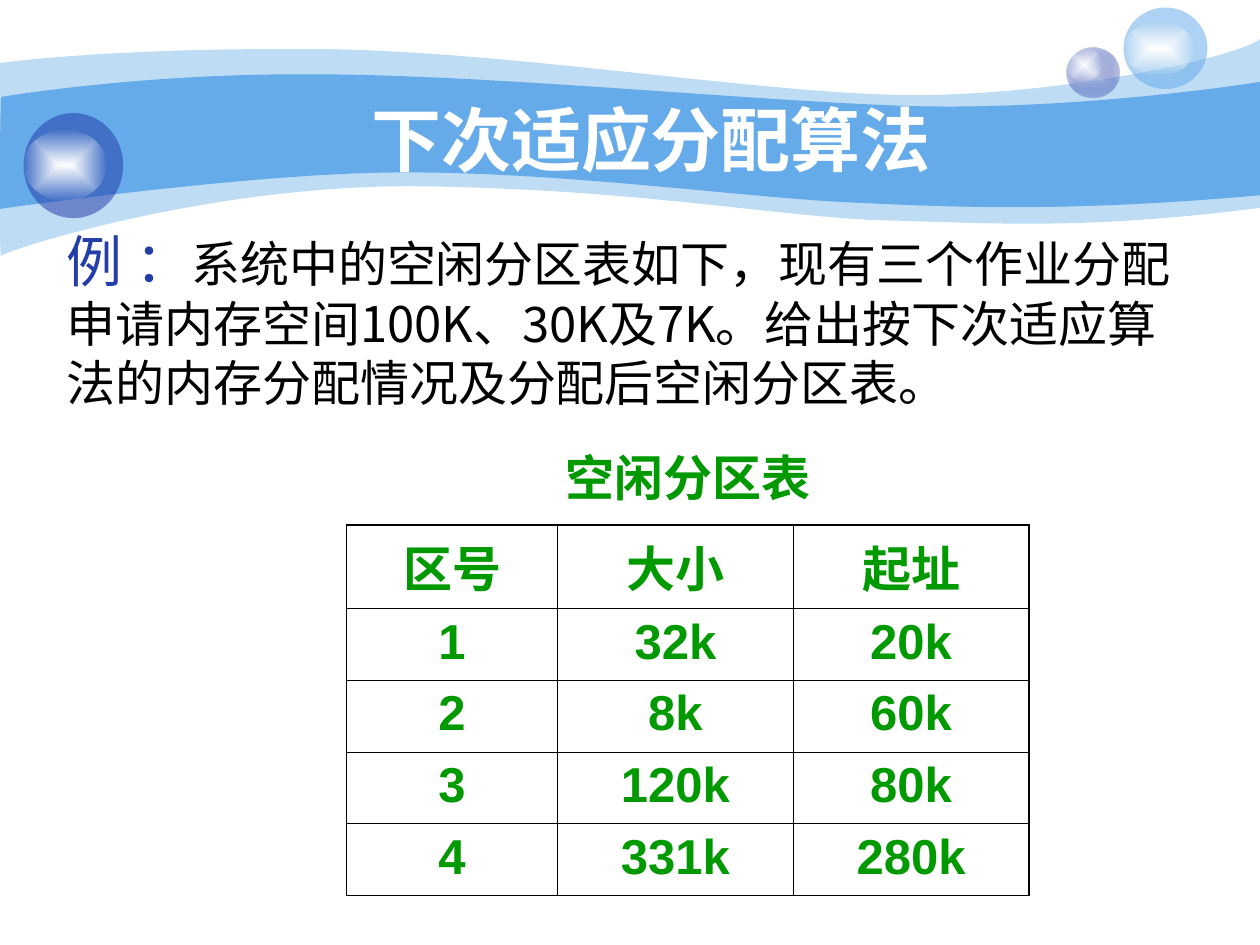
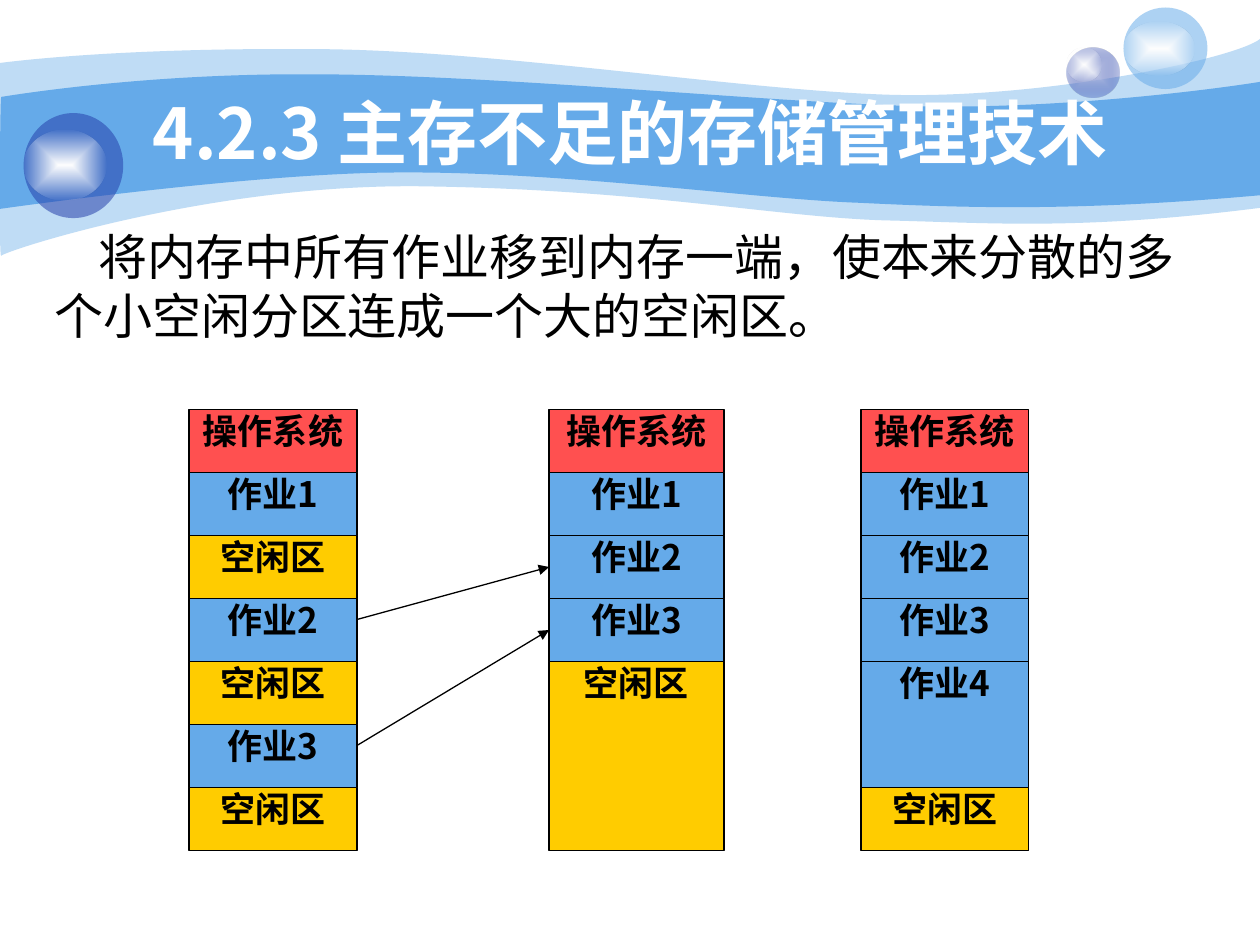
from lxml import etree
from pptx import Presentation
from pptx import util as u
from pptx.dml.color import RGBColor
from pptx.enum import shapes, text
from pptx.oxml import ns

COLOURS = {
    "sky": "65AAE9", "navy": "233DA9", "mist": "C7CEE9", "white": "FFFFFF",
    "black": "000000", "green": "009900", "red": "FF5050", "yellow": "FFCC00",
}
SC, JP = "Noto Sans CJK SC", "Noto Sans CJK JP"
CENTER = text.PP_ALIGN.CENTER


def paint(shape, *stops):
    """Fill without outline: one (colour, opacity) is solid, two run from centre to rim."""
    shape.shadow.inherit = False
    shape.line.fill.background()
    shape.fill.background()
    old_fill = shape.element.spPr.find(ns.qn("a:noFill"))
    fill = etree.Element(ns.qn("a:gradFill" if len(stops) > 1 else "a:solidFill"))
    parent = etree.SubElement(fill, ns.qn("a:gsLst")) if len(stops) > 1 else fill
    for index, (colour, opacity) in enumerate(stops):
        holder = parent
        if len(stops) > 1:
            holder = etree.SubElement(parent, ns.qn("a:gs"), pos=str(index * 100000))
        value = etree.SubElement(holder, ns.qn("a:srgbClr"), val=COLOURS[colour])
        if opacity < 100:
            etree.SubElement(value, ns.qn("a:alpha"), val=str(opacity * 1000))
    if len(stops) > 1:
        gradient = etree.SubElement(fill, ns.qn("a:path"), path="rect")
        etree.SubElement(gradient, ns.qn("a:fillToRect"),
                         {side: "50000" for side in "ltrb"})
    old_fill.getparent().replace(old_fill, fill)


def style_text(paragraph, size, font, colour, bold=False, alignment=None):
    paragraph.alignment = alignment
    for run in paragraph.runs:
        run.font.size = u.Pt(size)
        run.font.bold = bold
        run.font.name = font
        run.font.color.rgb = RGBColor.from_string(COLOURS[colour])
        east_asian = etree.Element(ns.qn("a:ea"), typeface=font if font == JP else SC)
        run.font._element.find(ns.qn("a:latin")).addnext(east_asian)


presentation = Presentation()
presentation.slide_width, presentation.slide_height = u.Pt(720), u.Pt(540)
title_layout = presentation.slide_layouts[5]
partition_slide = presentation.slides.add_slide(title_layout)
compaction_slide = presentation.slides.add_slide(title_layout)

# Wave bands: a start point, three curves along the top, a line down the right side,
# three curves back along the bottom and one up the left side
bands = [
    (41, [(0, 36),
          (17.3, 33.8), (77, 27.4), (177.8, 28.1),
          (277.9, 28.1), (414, 50.4), (503.3, 54),
          (591.8, 57.6), (705.6, 33.8), (720, 22.3),
          (720, 118.8),
          (617.8, 131.8), (566.6, 127.4), (507.6, 126),
          (447.8, 124.6), (370.8, 108.7), (247, 106.6),
          (123.8, 103.7), (2.9, 143.3), (0.7, 146.2),
          (-0.7, 149.8), (0, 54), (0, 36)]),
    (100, [(0.7, 55.4),
           (1.4, 55.4), (79.2, 41.8), (178.6, 42.5),
           (277.9, 42.5), (428.4, 57.6), (517, 60.5),
           (605.5, 63.4), (702.7, 49.7), (720, 46.8),
           (720, 111.6),
           (614.2, 121), (550.8, 118.8), (491, 115.9),
           (431.3, 113.8), (321.8, 97.9), (228.2, 98.6),
           (146.2, 98.6), (-1.4, 119.5), (-0.7, 119.5),
           (0, 119.5), (0, 55.4), (0.7, 55.4)]),
]
UNITS = 100
RIGHT_SIDE = 9
decorations = []
for opacity, points in bands:
    outline = [(x * UNITS, y * UNITS) for x, y in points]
    builder = partition_slide.shapes.build_freeform(*outline[0], scale=u.Pt(1) / UNITS)
    builder.add_line_segments(outline[1:], close=True)
    band = builder.convert_to_shape()
    segments = list(band.element.spPr.iter(ns.qn("a:lnTo")))
    controls = segments[:RIGHT_SIDE] + segments[RIGHT_SIDE + 1:]
    for first in range(0, len(controls) - 2, 3):
        curve = etree.Element(ns.qn("a:cubicBezTo"))
        controls[first].addprevious(curve)
        for segment in controls[first:first + 3]:
            curve.append(segment[0])
            segment.getparent().remove(segment)
    paint(band, ("sky", opacity))
    decorations.append(band)

glow = [("white", 100), ("white", 0)]
balls = [
    (609.5, 27, 30.4, 29, [("mist", 100), ("navy", 31)]),
    (609.5, 27, 20, 19.4, glow),
    (642, 4.3, 48, 46.6, [("sky", 53)]),
    (642, 12.2, 40.3, 31, glow),
    (13.5, 64.6, 56.9, 60, [("navy", 53)]),
    (13.5, 74.4, 47.5, 40, glow),
]
for left, top, width, height, stops in balls:
    ball = partition_slide.shapes.add_shape(
        shapes.MSO_SHAPE.OVAL, u.Pt(left), u.Pt(top), u.Pt(width), u.Pt(height))
    paint(ball, *stops)
    decorations.append(ball)

# The decorations belong to the master, behind its placeholders
master_tree = presentation.slide_master.shapes.element
for index, decoration in enumerate(decorations):
    decoration.element.nvSpPr.cNvPr.id = 100 + index
    master_tree.insert(2 + index, decoration.element)

titles = [
    (partition_slide, "下次适应分配算法", "Arial", (156, 59.6, 432, 39.6)),
    (compaction_slide, "4.2.3 主存不足的存储管理技术", JP, (54, 30, 612, 90)),
]
for slide, wording, font, place in titles:
    title = slide.shapes.title
    title.left, title.top, title.width, title.height = map(u.Pt, place)
    title.text_frame.text = wording
    title.text_frame.vertical_anchor = text.MSO_ANCHOR.MIDDLE
    style_text(title.text_frame.paragraphs[0], 40, font, "white", True, CENTER)

# Slide 1: example and free partition table
caption = partition_slide.shapes.add_textbox(u.Pt(282), u.Pt(252), u.Pt(222), u.Pt(41))
caption.text_frame.word_wrap = True
caption.text_frame.text = "空闲分区表"
style_text(caption.text_frame.paragraphs[0], 28, "Roboto", "green", True, CENTER)

example = partition_slide.shapes.add_textbox(u.Pt(31), u.Pt(126), u.Pt(646.5), u.Pt(113))
example.text_frame.word_wrap = True
paragraph = example.text_frame.paragraphs[0]
paragraph.text = "例 ："
style_text(paragraph, 32, SC, "navy")
request = paragraph.add_run()
request.text = ("系统中的空闲分区表如下，现有三个作业分配申请内存空间100K、30K及7K。"
                "给出按下次适应算法的内存分配情况及分配后空闲分区表。")
request.font.size = u.Pt(28)
request.font.name = SC
request.font.color.rgb = RGBColor.from_string(COLOURS["black"])
etree.SubElement(request.font._element, ns.qn("a:ea"), typeface=SC)

partitions = [
    ("区号", "大小", "起址"),
    ("1", "32k", "20k"),
    ("2", "8k", "60k"),
    ("3", "120k", "80k"),
    ("4", "331k", "280k"),
]
HEADER_HEIGHT, PARTITION_HEIGHT = 47.7, 41
last_row, last_column = len(partitions) - 1, len(partitions[0]) - 1
table = partition_slide.shapes.add_table(
    last_row + 1, last_column + 1, u.Pt(198), u.Pt(300), u.Pt(390),
    u.Pt(HEADER_HEIGHT + last_row * PARTITION_HEIGHT)).table
table.first_row = table.horz_banding = False
for column, width in zip(table.columns, (120.6, 134.7, 134.7)):
    column.width = u.Pt(width)
for row_index, row in enumerate(partitions):
    table.rows[row_index].height = u.Pt(PARTITION_HEIGHT if row_index else HEADER_HEIGHT)
    for column_index, value in enumerate(row):
        cell = table.cell(row_index, column_index)
        cell.text_frame.text = value
        style_text(cell.text_frame.paragraphs[0], 28, "Arial", "green", True, CENTER)
        cell.fill.background()
        outer_sides = {"L": column_index == 0, "R": column_index == last_column,
                       "T": row_index == 0, "B": row_index == last_row}
        properties = cell._tc.get_or_add_tcPr()
        for position, (side, outer) in enumerate(outer_sides.items()):
            border = etree.Element(ns.qn("a:ln" + side), w=str(u.Pt(1.08 if outer else 0.45)))
            border_fill = etree.SubElement(border, ns.qn("a:solidFill"))
            etree.SubElement(border_fill, ns.qn("a:srgbClr"), val=COLOURS["black"])
            properties.insert(position, border)

# Slide 2: memory before compaction, after it, and after loading job 4
ROW_HEIGHT = 36
SYSTEM, FREE = "操作系统", "空闲区"
fills = {SYSTEM: "red", FREE: "yellow"}
memories = [
    (108, 96, [(SYSTEM, 1), ("作业1", 1), (FREE, 1), ("作业2", 1), (FREE, 1),
               ("作业3", 1), (FREE, 1)]),
    (313.75, 100, [(SYSTEM, 1), ("作业1", 1), ("作业2", 1), ("作业3", 1), (FREE, 3)]),
    (492, 95.75, [(SYSTEM, 1), ("作业1", 1), ("作业2", 1), ("作业3", 1), ("作业4", 2),
                  (FREE, 1)]),
]
blocks = {}
for memory_index, (left, width, contents) in enumerate(memories):
    top = 234
    for label, rows in contents:
        block = compaction_slide.shapes.add_shape(
            shapes.MSO_SHAPE.RECTANGLE, u.Pt(left), u.Pt(top), u.Pt(width),
            u.Pt(rows * ROW_HEIGHT))
        block.shadow.inherit = False
        block.fill.solid()
        block.fill.fore_color.rgb = RGBColor.from_string(COLOURS[fills.get(label, "sky")])
        block.line.color.rgb = RGBColor.from_string(COLOURS["black"])
        block.line.width = u.Pt(0.75)
        frame = block.text_frame
        frame.margin_left = frame.margin_top = frame.margin_right = frame.margin_bottom = 0
        frame.vertical_anchor = text.MSO_ANCHOR.TOP
        frame.text = label
        style_text(frame.paragraphs[0], 20, JP, "black", True, CENTER)
        blocks[memory_index, label] = block
        top += rows * ROW_HEIGHT

for job in ("作业2", "作业3"):
    source, target = blocks[0, job], blocks[1, job]
    arrow = compaction_slide.shapes.add_connector(
        shapes.MSO_CONNECTOR.STRAIGHT, source.left + source.width, source.top + u.Pt(12),
        target.left, target.top + u.Pt(ROW_HEIGHT / 2))
    arrow.end_connect(target, 1)
    arrow.line.color.rgb = RGBColor.from_string(COLOURS["black"])
    arrow.line.width = u.Pt(0.75)
    etree.SubElement(arrow.line._get_or_add_ln(), ns.qn("a:tailEnd"), type="triangle")
    etree.SubElement(arrow.element.spPr, ns.qn("a:effectLst"))

summary = compaction_slide.shapes.add_textbox(u.Pt(24), u.Pt(126), u.Pt(666), u.Pt(75))
summary.text_frame.word_wrap = True
paragraph = summary.text_frame.paragraphs[0]
paragraph.text = "将内存中所有作业移到内存一端，使本来分散的多个小空闲分区连成一个大的空闲区。"
paragraph._p.get_or_add_pPr().set("indent", str(u.Pt(25)))
style_text(paragraph, 28, SC, "black")

presentation.save("out.pptx")
